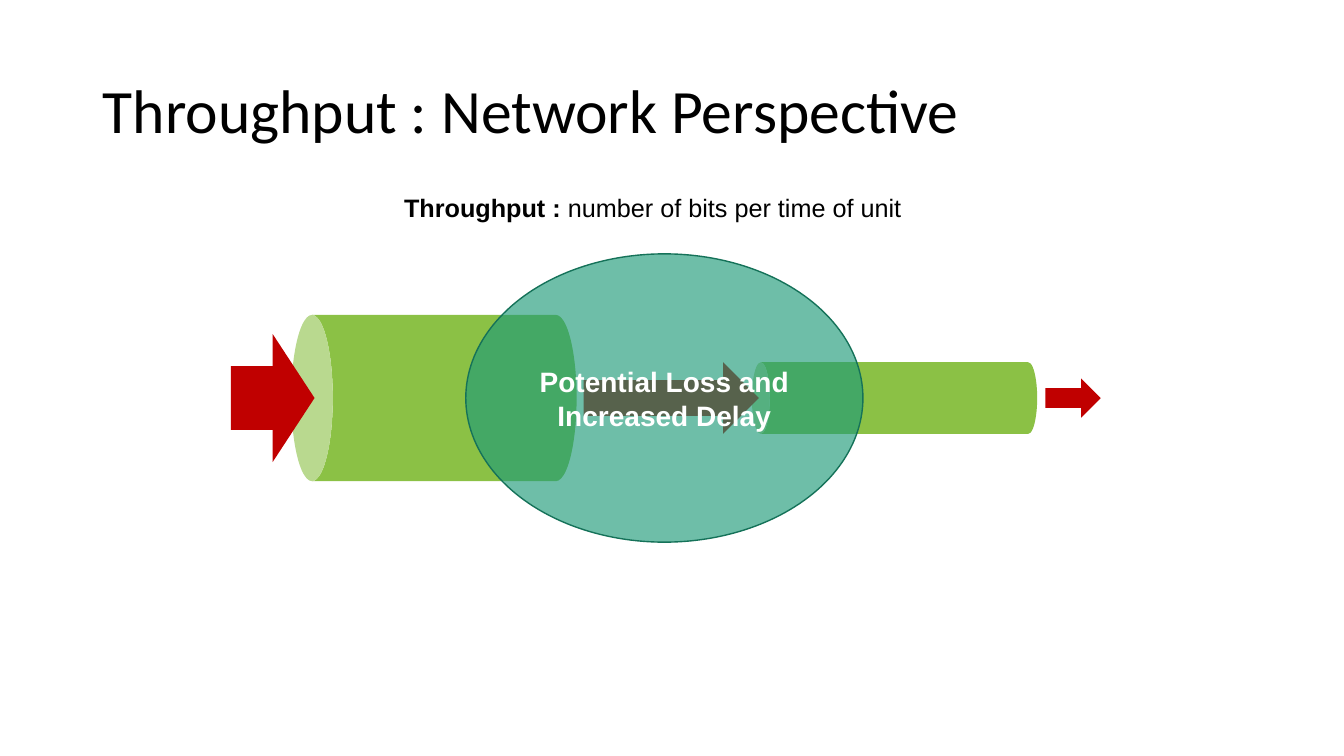
import dataclasses
import pptx
import pptx.dml.color
import pptx.enum.shapes
import pptx.enum.text
import pptx.oxml
import pptx.oxml.ns
import pptx.util

Kind = pptx.enum.shapes.MSO_SHAPE
Align = pptx.enum.text.PP_ALIGN
Anchor = pptx.enum.text.MSO_ANCHOR
Fit = pptx.enum.text.MSO_AUTO_SIZE


@dataclasses.dataclass(frozen=True)
class Theme:
    ink: str = "000000"
    white: str = "FFFFFF"
    pipe: str = "8BC145"
    flow: str = "C00000"
    risk: str = "1D9A78"
    edge: str = "157259"
    head: str = "Calibri"
    body: str = "Arial"
    title: int = 44
    note: int = 18
    label: int = 20
    alpha: int = 64


@dataclasses.dataclass(frozen=True)
class Part:
    kind: Kind
    color: str
    mid: float
    cols: float
    rows: float
    turn: int = 0


THEME = Theme()
WIDTH = pptx.util.Inches(13.33)
HEIGHT = pptx.util.Inches(7.5)
COL = WIDTH / 100
ROW = HEIGHT / 100
AXIS = 52.65

PIPES = (
    Part(Kind.CAN, THEME.pipe, 66.56, 21.23, 9.47, 270),
    Part(Kind.CAN, THEME.pipe, 32.29, 21.23, 22, 270),
)
FLOWS = (
    Part(Kind.RIGHT_ARROW, THEME.flow, 20.29, 6.23, 16.93),
    Part(Kind.RIGHT_ARROW, THEME.flow, 79.84, 4.13, 5.2),
    Part(Kind.RIGHT_ARROW, THEME.flow, 49.95, 13.05, 9.47),
)
RISK = Part(Kind.OVAL, THEME.risk, 49.43, 29.55, 38.13)


def rgb(code: str) -> pptx.dml.color.RGBColor:
    return pptx.dml.color.RGBColor.from_string(code)


def cell(col: float, row: float, cols: float, rows: float) -> tuple[int, ...]:
    return round(col * COL), round(row * ROW), round(cols * COL), round(rows * ROW)


def style(run, face: str, size: int, color: str, bold: bool = False) -> None:
    run.font.name = face
    run.font.size = pptx.util.Pt(size)
    run.font.color.rgb = rgb(color)
    run.font.bold = bold


def draw(slide, part: Part):
    wide, high = part.cols * COL, part.rows * ROW
    if part.turn:
        wide, high = high, wide
    left, top = part.mid * COL - wide / 2, AXIS * ROW - high / 2
    shape = slide.shapes.add_shape(
        part.kind, round(left), round(top), round(wide), round(high)
    )
    shape.rotation = part.turn
    shape.shadow.inherit = False
    shape.fill.solid()
    shape.fill.fore_color.rgb = rgb(part.color)
    shape.line.fill.background()
    return shape


def head(slide) -> None:
    title = slide.shapes.title
    title.left, title.top, title.width, title.height = cell(6.9, 5.33, 86.27, 19.33)
    frame = title.text_frame
    frame.text = "Throughput : Network Perspective"
    frame.auto_size = Fit.NONE
    frame.vertical_anchor = Anchor.MIDDLE
    line = frame.paragraphs[0]
    line.alignment = Align.LEFT
    line.line_spacing = 0.9
    style(line.runs[0], THEME.head, THEME.title, THEME.ink)


def note(slide) -> None:
    frame = slide.shapes.add_textbox(*cell(29.33, 24.8, 38.86, 5.33)).text_frame
    frame.word_wrap = False
    frame.auto_size = Fit.SHAPE_TO_FIT_TEXT
    line = frame.paragraphs[0]
    for text, bold in (
        ("Throughput : ", True),
        ("number of bits per time of unit", False),
    ):
        run = line.add_run()
        run.text = text
        style(run, THEME.body, THEME.note, THEME.ink, bold)


def risk(slide) -> None:
    shape = draw(slide, RISK)
    tint = shape.fill._xPr.find(".//" + pptx.oxml.ns.qn("a:srgbClr"))
    alpha = pptx.oxml.parse_xml(
        f'<a:alpha {pptx.oxml.ns.nsdecls("a")} val="{THEME.alpha * 1000}"/>'
    )
    tint.append(alpha)
    shape.line.color.rgb = rgb(THEME.edge)
    shape.line.width = pptx.util.Pt(1)
    frame = shape.text_frame
    frame.text = "Potential Loss and Increased Delay"
    frame.word_wrap = True
    frame.vertical_anchor = Anchor.MIDDLE
    line = frame.paragraphs[0]
    line.alignment = Align.CENTER
    style(line.runs[0], THEME.body, THEME.label, THEME.white, True)


def main() -> None:
    deck = pptx.Presentation()
    deck.slide_width, deck.slide_height = WIDTH, HEIGHT
    slide = deck.slides.add_slide(deck.slide_layouts.get_by_name("Title Only"))
    head(slide)
    for part in PIPES:
        draw(slide, part)
    note(slide)
    for part in FLOWS:
        draw(slide, part)
    risk(slide)
    deck.save("out.pptx")


if __name__ == "__main__":
    main()
